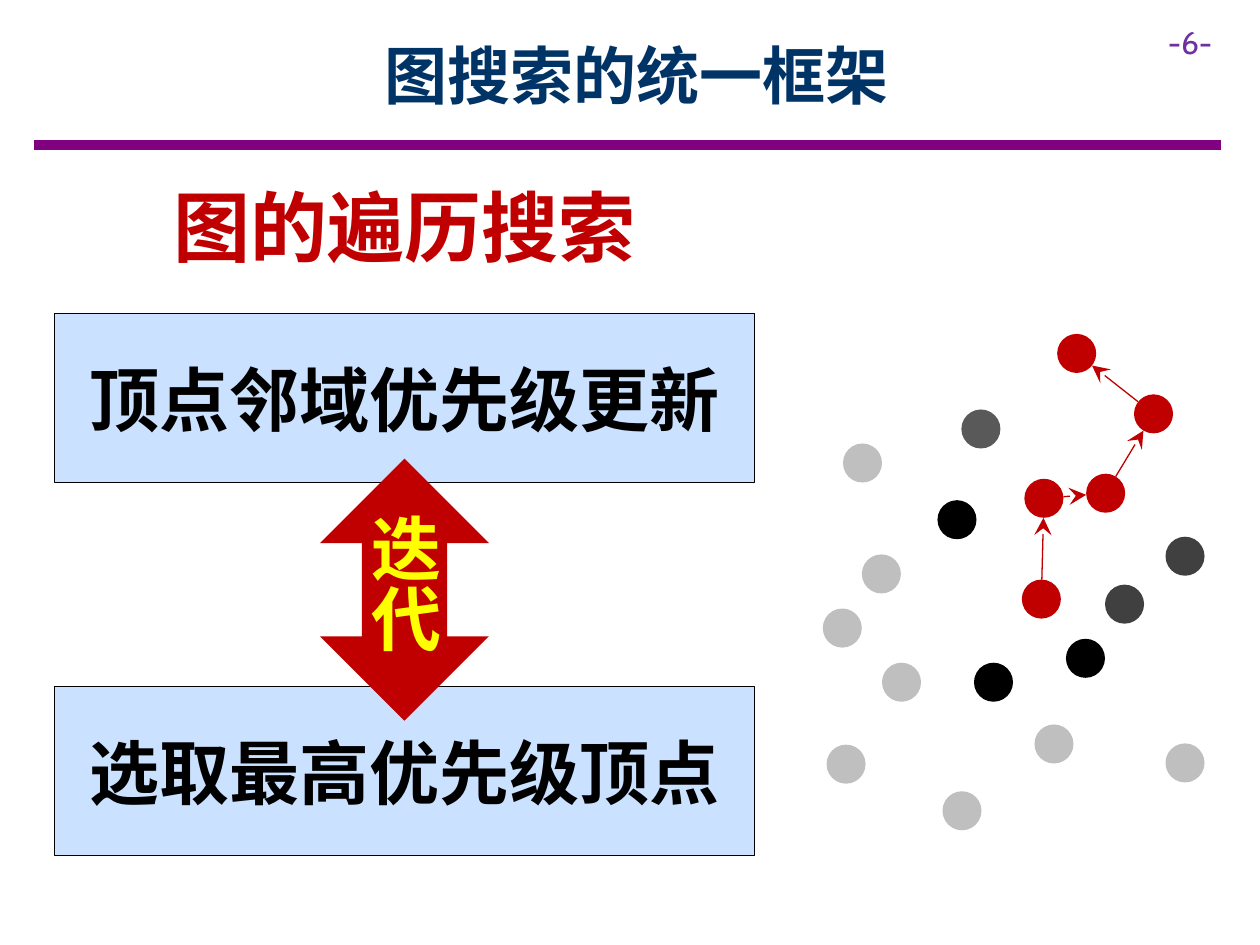
"""Build the slide on the unified framework of graph search."""
from math import hypot
from lxml.etree import SubElement
from pptx import Presentation
from pptx.dml.color import RGBColor
from pptx.enum.shapes import MSO_CONNECTOR as Link, MSO_SHAPE as Kind
from pptx.enum.text import MSO_ANCHOR as Anchor, MSO_AUTO_SIZE as Auto, PP_ALIGN as Align
from pptx.oxml.ns import qn
from pptx.util import Inches, Pt

HAN = "Noto Sans CJK SC"
RED = "C00000"
SIZE = 0.31

deck = Presentation()
deck.slide_width, deck.slide_height = Inches(10), Inches(7.5)
slide = deck.slides.add_slide(deck.slide_layouts[6])
shapes = slide.shapes
color = RGBColor.from_string


def write(shape, text, size, tint, font=HAN, bold=True, align=Align.CENTER):
    frame = shape.text_frame
    frame.text = text
    frame.vertical_anchor = Anchor.MIDDLE
    para = frame.paragraphs[0]
    para.alignment = align
    run = para.runs[0]
    run.font.size, run.font.bold, run.font.name = Pt(size), bold, font
    run.font.color.rgb = color(tint)
    SubElement(run.font._element, qn("a:ea")).set("typeface", font)
    return frame


def draw(kind, box, fill):
    shape = shapes.add_shape(kind, *map(Inches, box))
    shape.shadow.inherit = False
    shape.fill.solid()
    shape.fill.fore_color.rgb = color(fill)
    shape.line.fill.background()
    return shape


labels = [
    ((0.9, 0.09, 8.31, 1), "图搜索的统一框架", 36, "003366", HAN, True, Align.CENTER),
    ((1.26, 1.37, 3.9, 0.84), "图的遍历搜索", 44, RED, HAN, True, Align.CENTER),
    ((9.17, 0.13, 0.83, 0.4), "-6-", 18, "7030A0", "Cabin", False, Align.LEFT),
]
for box, *style in labels:
    frame = write(shapes.add_textbox(*map(Inches, box)), *style)
    frame.word_wrap = True
    frame.auto_size = Auto.NONE

for top, text in [(2.49, "顶点邻域优先级更新"), (5.45, "选取最高优先级顶点")]:
    panel = draw(Kind.RECTANGLE, (0.43, top, 5.56, 1.34), "CAE2FF")
    panel.line.color.rgb = color("000000")
    panel.line.width = Pt(0.25)
    write(panel, text, 40, "000000")

loop = draw(Kind.UP_DOWN_ARROW, (2.54, 3.64, 1.34, 2.08), RED)
loop.adjustments[0], loop.adjustments[1] = 0.529, 0.505
frame = write(loop, "迭代", 40, "FFFF00")
frame._txBody.bodyPr.set("vert", "eaVert")
frame.margin_top = frame.margin_bottom = Inches(0.1)

route = [(8.11, 4.6), (8.13, 3.8), (8.62, 3.76), (9, 3.13), (8.39, 2.65)]
nodes = {
    "BFBFBF": [(6.53, 4.83), (6.69, 3.52), (7, 5.26), (6.84, 4.4),
               (6.56, 5.91), (8.21, 5.75), (7.48, 6.28), (9.25, 5.9)],
    "595959": [(7.63, 3.25)],
    "404040": [(8.77, 4.64), (9.25, 4.26)],
    "000000": [(7.73, 5.26), (8.46, 5.07), (7.44, 3.97)],
    RED: route,
}
for fill, spots in nodes.items():
    for left, top in spots:
        draw(Kind.OVAL, (left, top, SIZE, SIZE), fill)

lines = [((0.27, 1.15, 9.69, 1.15), "800080", 6, False)]
half = SIZE / 2
for (ax, ay), (bx, by) in zip(route, route[1:]):
    span = hypot(bx - ax, by - ay)
    dx, dy = half * (bx - ax) / span, half * (by - ay) / span
    ends = (ax + half + dx, ay + half + dy, bx + half - dx, by + half - dy)
    lines.append((ends, RED, 0.75, True))

for ends, tint, width, arrow in lines:
    link = shapes.add_connector(Link.STRAIGHT, *map(Inches, ends))
    link.line.color.rgb = color(tint)
    link.line.width = Pt(width)
    if arrow:
        tip = SubElement(link.line._get_or_add_ln(), qn("a:tailEnd"))
        for key, value in [("type", "stealth"), ("w", "lg"), ("len", "lg")]:
            tip.set(key, value)
    SubElement(link._element.spPr, qn("a:effectLst"))

deck.save("out.pptx")
